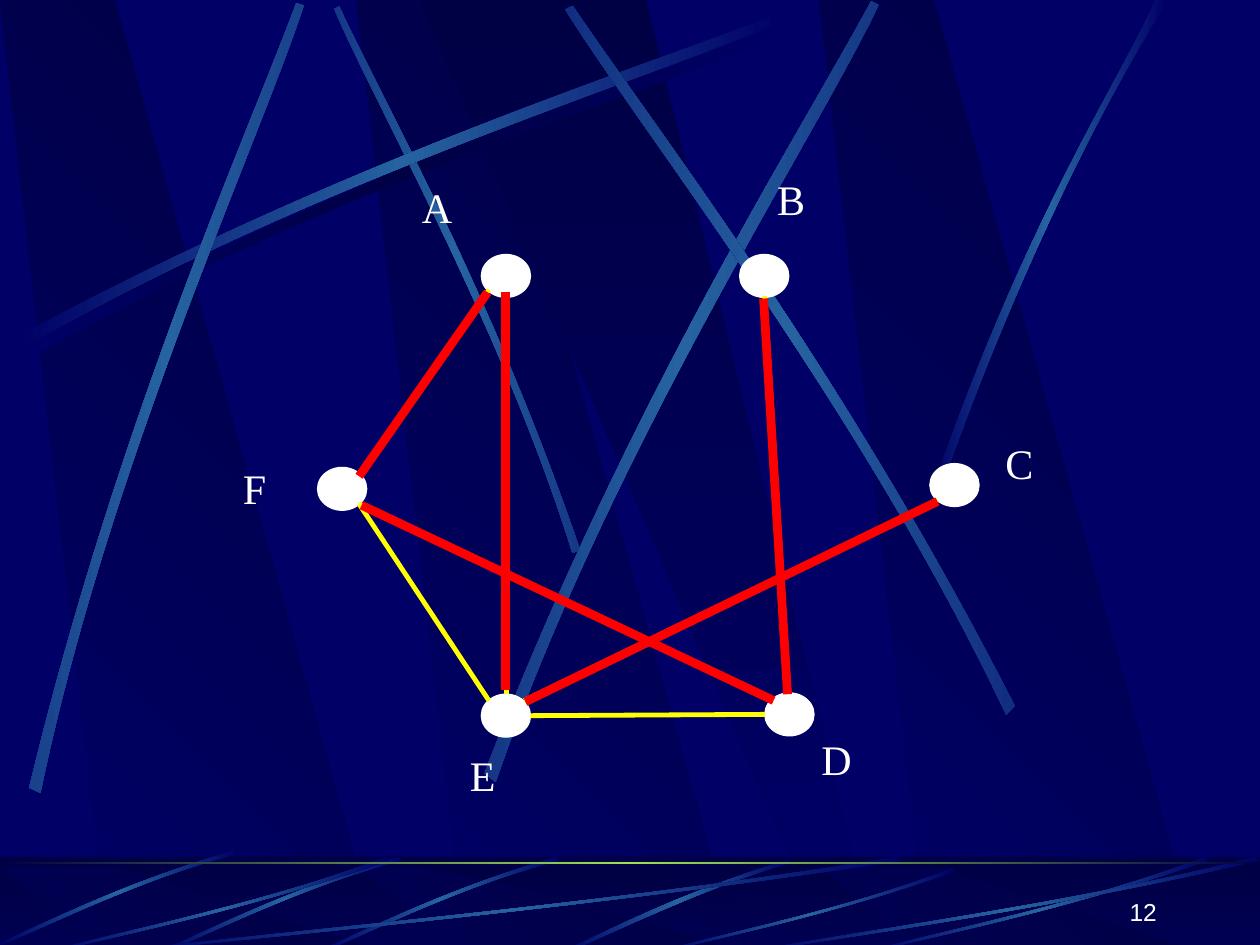
import math
from lxml import etree
from pptx import Presentation
from pptx import util as u
from pptx.dml.color import RGBColor
from pptx.enum import shapes, text
from pptx.oxml.ns import qn

rgb = RGBColor.from_string
NIGHT, NAVY, STEEL = "000044", "000066", "2663A0"
WHITE, YELLOW, RED = "FFFFFF", "FFFF00", "FF0000"
GLOW = [NAVY, STEEL, NAVY]

deck = Presentation()
deck.slide_width, deck.slide_height = u.Inches(10), u.Inches(7.5)
slide = deck.slides.add_slide(deck.slide_layouts[6])
master = deck.slide_master
master.background.fill.solid()
master.background.fill.fore_color.rgb = rgb(NAVY)
scene = slide.shapes.add_group_shape()
items = scene.shapes


def shade(shape, stops, angle=0):
    """Fill with evenly spaced gradient stops, clockwise angle, no outline."""
    shape.shadow.inherit = False
    shape.line.fill.background()
    shape.fill.gradient()
    shape.fill.gradient_angle = -angle % 360
    grad = shape._element.spPr.find(qn("a:gradFill"))
    grad.set("rotWithShape", "0")
    ramp = grad.find(qn("a:gsLst"))
    ramp.clear()
    for i, color in enumerate(stops):
        stop = etree.SubElement(ramp, qn("a:gs"), pos=str(100000 * i // (len(stops) - 1)))
        etree.SubElement(stop, qn("a:srgbClr"), val=color)


def sheet(points, stops, angle=0, turn=0, hub=(0, 0)):
    """Closed outline; points are as seen after a turn about hub."""
    cos, sin = math.cos(math.radians(turn)), math.sin(math.radians(turn))
    flat = []
    for x, y in points:
        dx, dy = x - hub[0], y - hub[1]
        flat.append((u.Inches(hub[0] + dx * cos + dy * sin),
                     u.Inches(hub[1] - dx * sin + dy * cos)))
    pen = items.build_freeform(*flat[0], scale=1.0)
    pen.add_line_segments(flat[1:], close=True)
    shape = pen.convert_to_shape()
    shape.rotation = turn
    shade(shape, stops, angle)
    return shape


# Streaks: colours, turn, hub, then two cubic edges of four points each
beam = [(0.14, 2.67), (2.78, 1.25), (5.18, 0.51), (6.2, 0.1),
        (6.23, 0.16), (5.22, 0.61), (2.48, 1.43), (0.17, 2.77)]
upper = [
    ([NAVY, NIGHT, NAVY], 0, (0, 0), [(x + 0.06, y + 0.08) for x, y in beam]),
    (GLOW, 45, (3.62, 2.22),
     [(4.6, 4.36), (3.91, 2.34), (3.02, 0.77), (2.69, 0.05),
      (2.65, 0.07), (2.95, 0.79), (3.98, 2.58), (4.54, 4.39)]),
    (GLOW, 0, (0, 0), beam),
    (GLOW, 311.7, (1.33, 3.16),
     [(0.23, 6.25), (0.93, 3.34), (1.97, 1.05), (2.35, 0.02),
      (2.41, 0.04), (2.07, 1.09), (0.86, 3.68), (0.32, 6.29)]),
    (GLOW, 321.6, (5.43, 3.1),
     [(3.85, 6.14), (4.98, 3.2), (6.38, 1.02), (6.92, 0.01),
      (6.98, 0.04), (6.49, 1.08), (4.86, 3.55), (3.94, 6.21)]),
    (GLOW, 34.7, (6.27, 2.86),
     [(8.06, 5.6), (6.7, 2.93), (5.16, 0.95), (4.55, 0.04),
      (4.49, 0.07), (5.07, 1.01), (6.85, 3.25), (7.99, 5.67)]),
    (GLOW, 0, (0, 0),
     [(7.38, 3.94), (8.14, 1.73), (8.88, 0.66), (9.17, 0),
      (9.27, 0), (8.36, 1.45), (7.69, 3.22), (7.44, 3.97)]),
]
lower = [(GLOW, 0, (0, 0),
          [(6.27, 6.82), (5.37, 7.09), (4.77, 7.42), (4.48, 7.54),
           (4.53, 7.55), (4.9, 7.38), (5.71, 7), (6.28, 6.85)])]
blade = [(4.42, 6.8), (3.55, 7.05), (2.87, 7.4), (2.56, 7.53),
         (2.57, 7.55), (2.88, 7.43), (3.65, 7.03), (4.44, 6.83)]
for dx, dy in [(0, 0), (-1.25, 0), (-2.56, -0.05)]:
    lower.append((GLOW, 315, (3.5 + dx, 7.18 + dy), [(x + dx, y + dy) for x, y in blade]))
sweep = [(1, 0.04), (0.57, 0.57), (0.17, 0.85), (0.01, 1),
         (0, 0.99), (0.17, 0.81), (0.62, 0.51), (0.99, 0)]
for left, top, wide in [(1, 6.8, 6.17), (0.42, 6.8, 2.67), (5.27, 6.89, 2.31),
                        (6.92, 6.8, 2.67), (6, 6.8, 4)]:
    lower.append((GLOW, 0, (0, 0),
                  [(left + wide * x, top + (7.55 - top) * y) for x, y in sweep]))

# Backdrop: main field, then the floor band over it
for top, low, streaks in [(0, 7.52, upper), (6.88, 7.55, lower)]:
    floor = top > 0
    if floor:
        band = items.add_shape(shapes.MSO_SHAPE.RECTANGLE, 0, u.Inches(6.8),
                               u.Inches(10), u.Inches(0.75))
        shade(band, [NIGHT, NAVY], 90)
    for x in (2.83, 0, 6.5):
        sheet([(x + 0.86, low), (x + 3.02, low), (x + 0.91, top), (x, top)],
              [NAVY, NIGHT], 315)
    sheet([(3.33, top), (6.58, low), (6.94, low), (5.13, top)], [NIGHT, NAVY], 90)
    if floor:
        veil = items.add_shape(shapes.MSO_SHAPE.RECTANGLE, 0, u.Inches(6.8),
                               u.Inches(10), u.Inches(0.75))
        veil.shadow.inherit = False
        veil.line.fill.background()
        veil.fill.solid()
        veil.fill.fore_color.rgb = rgb(NIGHT)
        tint = veil._element.spPr.find(qn("a:solidFill"))[0]
        etree.SubElement(tint, qn("a:alpha"), val="50000")
    for stops, turn, hub, curve in streaks:
        streak = sheet(curve, stops, 0, turn, hub)
        # Bend each edge: three line points become one cubic
        legs = list(streak._element.iter(qn("a:lnTo")))
        for trio in (legs[:3], legs[4:7]):
            bend = etree.Element(qn("a:cubicBezTo"))
            trio[0].addprevious(bend)
            for leg in trio:
                bend.append(leg[0])
                leg.getparent().remove(leg)
rule = items.add_shape(shapes.MSO_SHAPE.RECTANGLE, 0, u.Inches(6.84),
                       u.Inches(10), u.Inches(0.02))
shade(rule, [NIGHT, "9CE157", NIGHT])

# The backdrop belongs to the master, behind its placeholders
master.shapes._spTree.insert(2, scene._element)

# Graph nodes: place of each dot
graph = slide.shapes.add_group_shape().shapes
for x, y in [(3.82, 2.02), (5.87, 2.02), (2.52, 3.71),
             (3.82, 5.51), (7.38, 3.68), (6.07, 5.5)]:
    dot = graph.add_shape(shapes.MSO_SHAPE.OVAL, u.Inches(x), u.Inches(y),
                          u.Inches(0.39), u.Inches(0.34))
    dot.shadow.inherit = False
    dot.fill.solid()
    dot.fill.fore_color.rgb = rgb(WHITE)
    dot.line.color.rgb = rgb(WHITE)
    dot.line.width = u.Pt(0.75)

# Node names and page number
left, right = text.PP_ALIGN.LEFT, text.PP_ALIGN.RIGHT
high, low = text.MSO_ANCHOR.TOP, text.MSO_ANCHOR.BOTTOM
label = (graph, "Times New Roman", 24, left, high)
for word, x, y, wide, tall, (home, face, size, side, hold) in [
        ("A", 3.25, 1.39, 0.63, 0.68, label),
        ("B", 6.07, 1.33, 0.61, 0.68, label),
        ("C", 7.88, 3.42, 0.61, 0.68, label),
        ("D", 6.42, 5.77, 0.63, 0.68, label),
        ("E", 3.63, 5.9, 0.58, 0.68, label),
        ("F", 1.83, 3.62, 0.55, 0.68, label),
        ("12", 7.2, 6.9, 2.08, 0.5, (slide.shapes, "Arial", 14, right, low))]:
    frame = home.add_textbox(u.Inches(x), u.Inches(y),
                             u.Inches(wide), u.Inches(tall)).text_frame
    frame.word_wrap = True
    frame.vertical_anchor = hold
    para = frame.paragraphs[0]
    para.text = word
    para.alignment = side
    para.font.name, para.font.size = face, u.Pt(size)
    para.font.color.rgb = rgb(WHITE)

# Edges: all in yellow, the chosen ones in red on top
thin = [(6.07, 5.67, 4.21, 5.68), (6.26, 5.5, 6.07, 2.35), (2.85, 3.76, 3.88, 2.3),
        (4.02, 5.51, 4.02, 2.35), (2.85, 4, 3.88, 5.56), (2.85, 4, 6.13, 5.55),
        (4.16, 5.56, 7.44, 3.97)]
bold = [(6.25, 5.51, 6.06, 2.37), (4.17, 5.57, 7.44, 3.98), (2.85, 3.78, 3.87, 2.32),
        (4.01, 5.48, 4.01, 2.32), (2.87, 4.01, 6.14, 5.56)]
for home, color, width, edges in [(graph, YELLOW, 2.75, thin),
                                  (slide.shapes, RED, 5, bold)]:
    for ends in edges:
        link = home.add_connector(shapes.MSO_CONNECTOR.STRAIGHT, *map(u.Inches, ends))
        link.line.color.rgb = rgb(color)
        link.line.width = u.Pt(width)
        etree.SubElement(link._element.spPr, qn("a:effectLst"))

deck.save("out.pptx")
